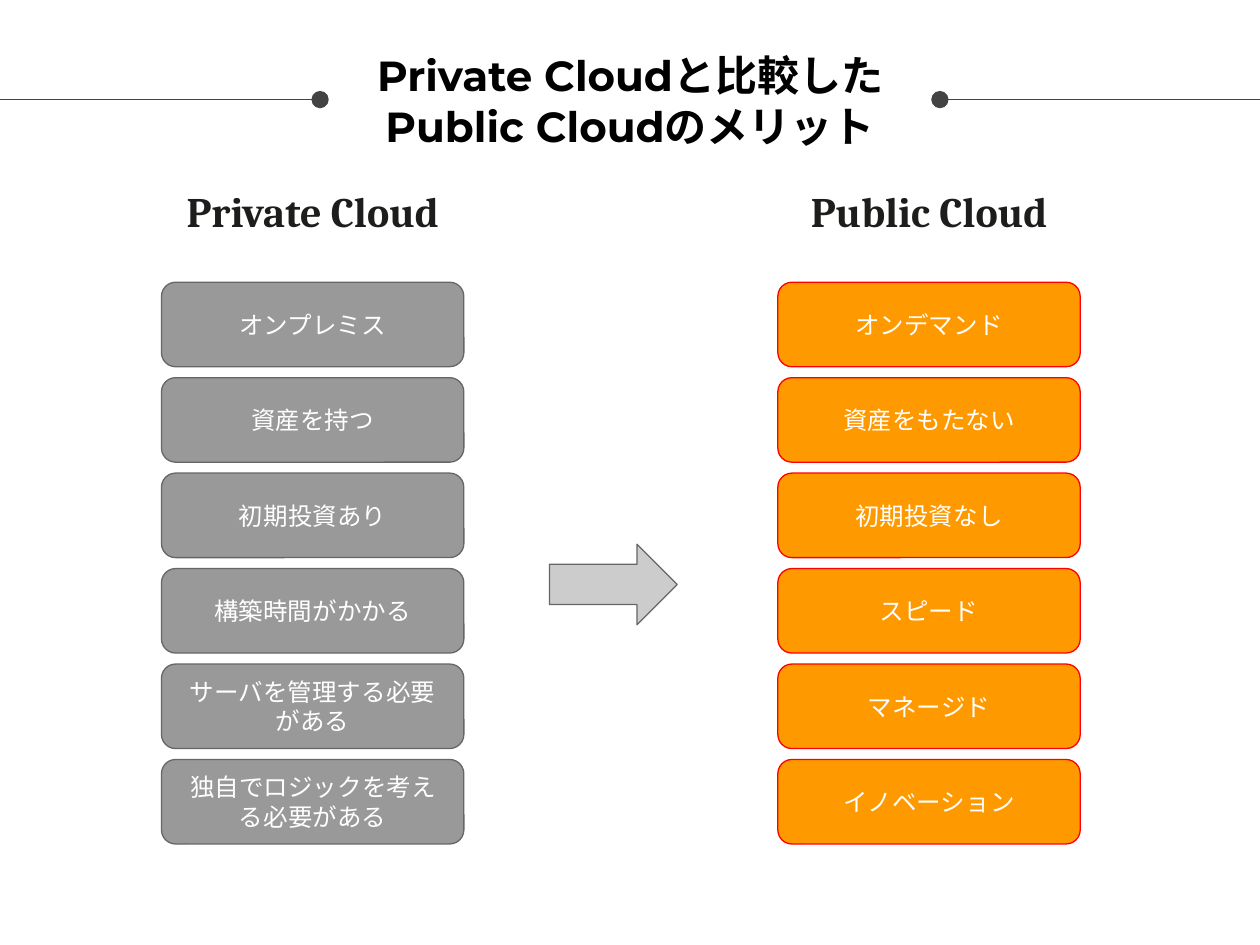
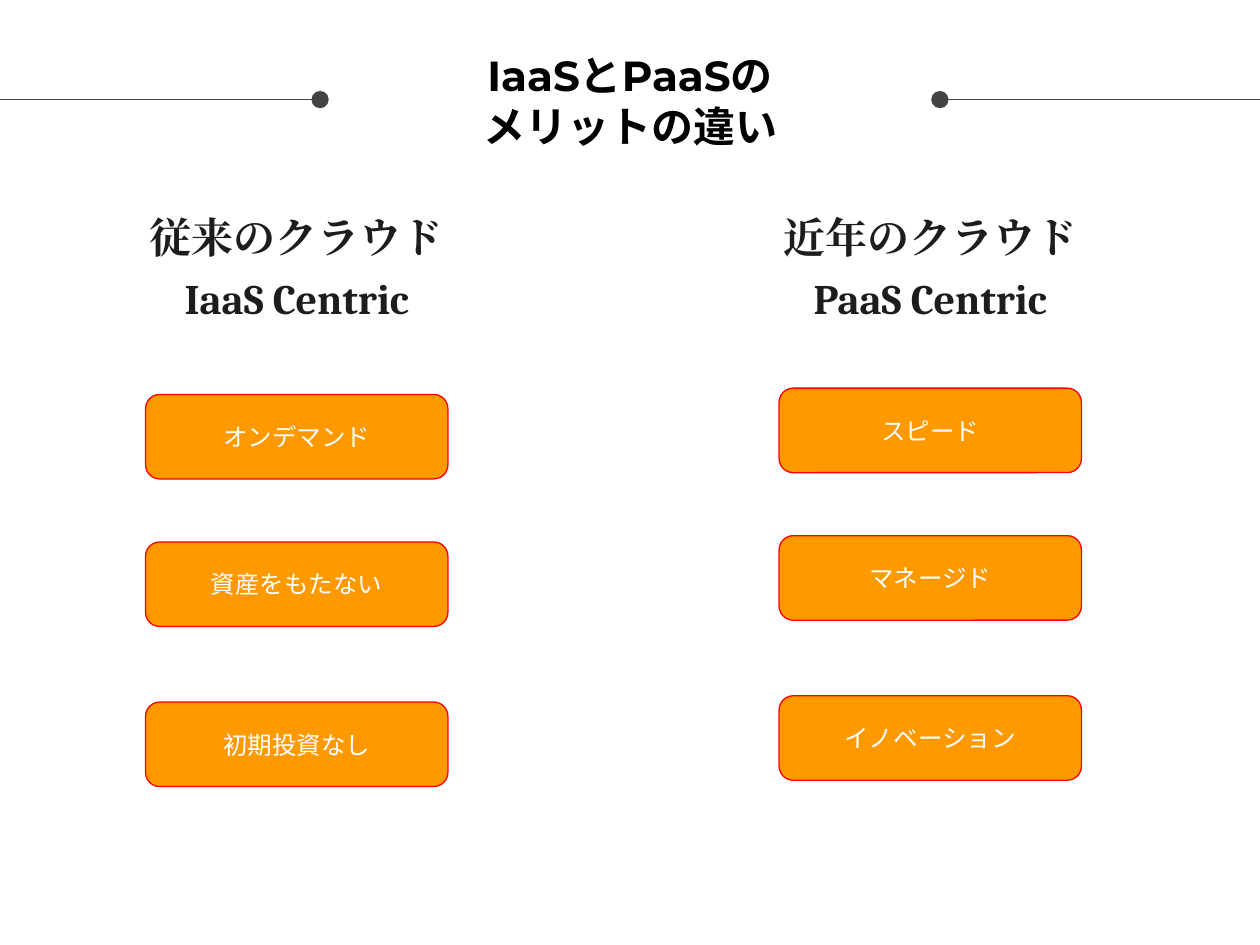
from lxml import etree
from pptx import Presentation
from pptx.dml.color import RGBColor
from pptx.enum.shapes import MSO_CONNECTOR, MSO_SHAPE
from pptx.enum.text import MSO_ANCHOR, MSO_AUTO_SIZE, PP_ALIGN
from pptx.oxml.ns import qn
from pptx.util import Pt

STRAIGHT = MSO_CONNECTOR.STRAIGHT
ROUNDED = MSO_SHAPE.ROUNDED_RECTANGLE
RIGHT_ARROW = MSO_SHAPE.RIGHT_ARROW
TOP, MIDDLE = MSO_ANCHOR.TOP, MSO_ANCHOR.MIDDLE
NO_AUTOFIT = MSO_AUTO_SIZE.NONE
CENTER = PP_ALIGN.CENTER

BLACK = RGBColor(0x00, 0x00, 0x00)
WHITE = RGBColor(0xFF, 0xFF, 0xFF)
INK = RGBColor(0x1D, 0x1D, 0x1B)
RULE_GRAY = RGBColor(0x43, 0x43, 0x43)
ORANGE = RGBColor(0xFF, 0x99, 0x00)
RED = RGBColor(0xFF, 0x00, 0x00)
CARD_GRAY = RGBColor(0x99, 0x99, 0x99)
EDGE_GRAY = RGBColor(0x66, 0x66, 0x66)
ARROW_GRAY = RGBColor(0xCC, 0xCC, 0xCC)

TITLE_STYLE = ("Montserrat", 24, True, BLACK)
HEADING_STYLE = ("Cambria", 24, True, INK)
CARD_STYLE = ("Arial", 14, False, WHITE)
CLOUD_COLORS = (ORANGE, RED)
PRIVATE_COLORS = (CARD_GRAY, EDGE_GRAY)

SLIDE_WIDTH, SLIDE_HEIGHT = 720, 540
RULE_Y = 56.9
RULES = [(182.9, 0), (537.1, SLIDE_WIDTH)]
CARD_WIDTH, CARD_HEIGHT = 172.8, 48.3
HEADING_WIDTH = 191.5
EVEN_ROWS = [54.54 * row for row in range(6)]
WIDE_ROWS = [0, 84.3, 175.8]

# Column: heading lines, card left, first card top, colours, card texts
SLIDES = [
    {
        "title": ["Private Cloudと比較した", "Public Cloudのメリット"],
        "heading_top": 98.6, "heading_height": 40.3, "rows": EVEN_ROWS,
        "columns": [
            (["Private Cloud"], 92.3, 161.3, PRIVATE_COLORS,
             ["オンプレミス", "資産を持つ", "初期投資あり", "構築時間がかかる",
              "サーバを管理する必要がある", "独自でロジックを考える必要がある"]),
            (["Public Cloud"], 444.5, 161.3, CLOUD_COLORS,
             ["オンデマンド", "資産をもたない", "初期投資なし", "スピード",
              "マネージド", "イノベーション"]),
        ],
    },
    {
        "title": ["IaaSとPaaSの", "メリットの違い"],
        "heading_top": 113.8, "heading_height": 90, "rows": WIDE_ROWS,
        "columns": [
            (["従来のクラウド", "IaaS Centric"], 83.2, 225.4, CLOUD_COLORS,
             ["オンデマンド", "資産をもたない", "初期投資なし"]),
            (["近年のクラウド", "PaaS Centric"], 445.2, 221.8, CLOUD_COLORS,
             ["スピード", "マネージド", "イノベーション"]),
        ],
    },
]


def write_text(shape, lines, style, anchor, gap=0):
    """Fill a shape with centred paragraphs, set apart by gap points."""
    font_name, size, bold, color = style
    frame = shape.text_frame
    frame.word_wrap = True
    frame.auto_size = NO_AUTOFIT
    frame.vertical_anchor = anchor
    frame.margin_left = frame.margin_right = Pt(7.2)
    frame.margin_top = frame.margin_bottom = Pt(7.2)
    for index, line in enumerate(lines):
        paragraph = frame.add_paragraph() if index else frame.paragraphs[0]
        paragraph.alignment = CENTER
        paragraph.space_before = Pt(gap if index else 0)
        run = paragraph.add_run()
        run.text = line
        run.font.name = font_name
        run.font.size = Pt(size)
        run.font.bold = bold
        run.font.color.rgb = color
        # Japanese text takes the line height of the same font
        latin = run.font._element.find(qn("a:latin"))
        east_asian = etree.Element(qn("a:ea"), typeface=font_name)
        latin.addnext(east_asian)


def add_filled_shape(slide, kind, left, top, width, height, colors):
    shape = slide.shapes.add_shape(kind, Pt(left), Pt(top), Pt(width), Pt(height))
    shape.shadow.inherit = False
    fill_color, line_color = colors
    shape.fill.solid()
    shape.fill.fore_color.rgb = fill_color
    shape.line.color.rgb = line_color
    shape.line.width = Pt(0.75)
    return shape


presentation = Presentation()
presentation.slide_width = Pt(SLIDE_WIDTH)
presentation.slide_height = Pt(SLIDE_HEIGHT)
title_only = presentation.slide_layouts[5]

for content in SLIDES:
    slide = presentation.slides.add_slide(title_only)

    # Rules on both sides of the title, with a dot at the inner end
    for inner_x, outer_x in RULES:
        rule = slide.shapes.add_connector(
            STRAIGHT, Pt(inner_x), Pt(RULE_Y), Pt(outer_x), Pt(RULE_Y))
        rule.line.color.rgb = RULE_GRAY
        rule.line.width = Pt(0.75)
        etree.SubElement(rule.line._get_or_add_ln(), qn("a:headEnd"),
                         type="oval", w="lg", len="lg")
        etree.SubElement(rule._element.spPr, qn("a:effectLst"))

    title = slide.shapes.title
    title.left, title.top = Pt(183.3), Pt(12.2)
    title.width, title.height = Pt(353.5), Pt(90)
    write_text(title, content["title"], TITLE_STYLE, MIDDLE)

    for heading_lines, left, first_top, colors, card_texts in content["columns"]:
        heading = slide.shapes.add_textbox(
            Pt(left - (HEADING_WIDTH - CARD_WIDTH) / 2), Pt(content["heading_top"]),
            Pt(HEADING_WIDTH), Pt(content["heading_height"]))
        write_text(heading, heading_lines, HEADING_STYLE, TOP, gap=6)
        for offset, card_text in zip(content["rows"], card_texts):
            card = add_filled_shape(slide, ROUNDED, left, first_top + offset,
                                    CARD_WIDTH, CARD_HEIGHT, colors)
            write_text(card, [card_text], CARD_STYLE, MIDDLE)

# Arrow from private to public cloud
add_filled_shape(presentation.slides[0], RIGHT_ARROW, 314, 311, 73, 46,
                 (ARROW_GRAY, EDGE_GRAY))

presentation.save("out.pptx")
